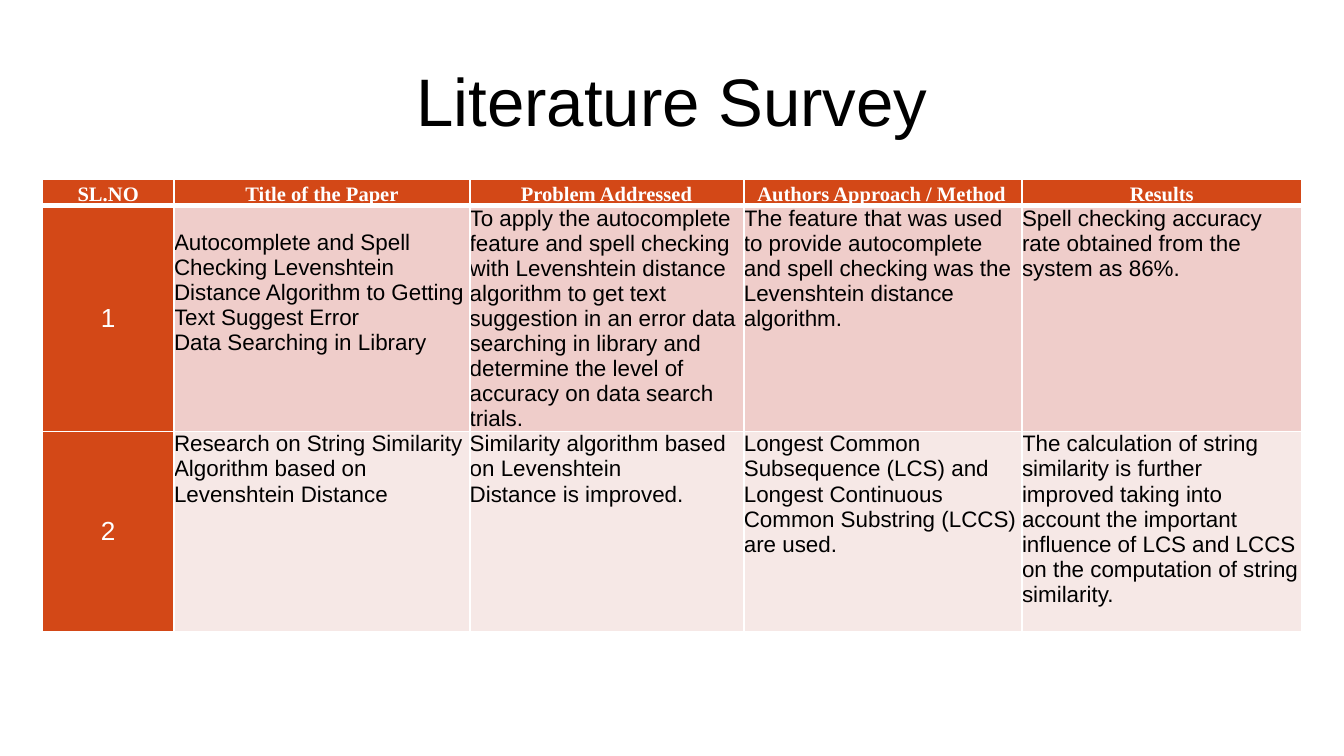
from dataclasses import dataclass

from lxml.etree import SubElement as Sub
from pptx import Presentation as Deck
from pptx.dml.color import RGBColor as Rgb
from pptx.enum.text import MSO_ANCHOR as Anchor, MSO_AUTO_SIZE as Fit, PP_ALIGN as Align
from pptx.oxml.ns import qn
from pptx.util import Inches, Pt

WIDE = Inches(10)
HIGH = WIDE * 9 // 16
HUES = {"rust": "D34817", "rose": "EFCDCA", "blush": "F6E8E6", "white": "FFFFFF", "black": "000000"}
FONTS = {
    "title": {"name": "Arial", "size": Pt(36), "bold": False},
    "head": {"name": "Times New Roman", "size": Pt(11), "bold": True},
    "count": {"name": "Arial", "size": Pt(14), "bold": False},
    "body": {"name": "Arial", "size": Pt(12), "bold": False},
}
COLS = (0.98, 2.2, 2.04, 2.07, 2.08)
ROWS = (0.19, 1.67, 1.49)
BANDS = ("rust", "rose", "blush")


@dataclass
class Entry:
    text: str
    indent: float = 0
    top: float = 0


GRID = (
    (
        Entry("SL.NO"),
        Entry("Title of the Paper", indent=0.53),
        Entry("Problem Addressed", indent=0.38),
        Entry("Authors Approach / Method", indent=0.1),
        Entry("Results"),
    ),
    (
        Entry("1"),
        Entry(
            "Autocomplete and Spell Checking Levenshtein Distance Algorithm to Getting Text Suggest Error\n"
            "Data Searching in Library",
            top=0.18,
        ),
        Entry(
            "To apply the autocomplete feature and spell checking with Levenshtein distance algorithm "
            "to get text suggestion in an error data searching in library and determine the level of "
            "accuracy on data search trials."
        ),
        Entry(
            "The feature that was used to provide autocomplete and spell checking was the "
            "Levenshtein distance algorithm."
        ),
        Entry("Spell checking accuracy rate obtained from the system as 86%."),
    ),
    (
        Entry("2"),
        Entry("Research on String Similarity Algorithm based on Levenshtein Distance"),
        Entry("Similarity algorithm based on Levenshtein\nDistance is improved."),
        Entry(
            "Longest Common Subsequence (LCS) and Longest Continuous Common Substring (LCCS) are used."
        ),
        Entry(
            "The calculation of string similarity is further\n"
            "improved taking into account the important\n"
            "influence of LCS and LCCS on the computation of string similarity."
        ),
    ),
)


def apply(item, values: dict) -> None:
    for key, value in values.items():
        setattr(item, key, value)


def style(para, kind: str, hue: str) -> None:
    apply(para.font, FONTS[kind])
    para.font.color.rgb = Rgb.from_string(HUES[hue])


def border(cell, row: int) -> None:
    props = cell._tc.get_or_add_tcPr()
    thick = {0: "lnB", 1: "lnT"}.get(row)
    for side in ("lnL", "lnR", "lnT", "lnB"):
        line = Sub(props, qn("a:" + side), w=str(Pt(3 if side == thick else 1)))
        Sub(Sub(line, qn("a:solidFill")), qn("a:srgbClr"), val=HUES["white"])


def draw_cell(cell, entry: Entry, row: int, col: int) -> None:
    head, count = row == 0, col == 0
    border(cell, row)
    cell.fill.solid()
    cell.fill.fore_color.rgb = Rgb.from_string(HUES["rust" if count else BANDS[row]])
    apply(cell, {
        "margin_left": 0, "margin_right": 0, "margin_bottom": 0,
        "margin_top": Inches(entry.top),
        "vertical_anchor": Anchor.MIDDLE if count and not head else Anchor.TOP,
        "text": entry.text,
    })
    kind = "head" if head else "count" if count else "body"
    for para in cell.text_frame.paragraphs:
        if entry.indent:
            para._p.get_or_add_pPr().set("marL", str(Inches(entry.indent)))
        center = count or (head and not entry.indent)
        para.alignment = Align.CENTER if center else Align.LEFT
        if head:
            para.line_spacing = 1.16
        style(para, kind, "white" if head or count else "black")


def draw_title(shape, text: str) -> None:
    apply(shape, {
        "left": int(WIDE * 0.034), "top": int(HIGH * 0.05),
        "width": int(WIDE * 0.932), "height": int(HIGH * 0.164),
    })
    frame = shape.text_frame
    apply(frame, {
        "text": text, "word_wrap": True, "auto_size": Fit.NONE, "vertical_anchor": Anchor.MIDDLE,
    })
    apply(frame, {"margin_" + side: Inches(0.1) for side in ("left", "top", "right", "bottom")})
    para = frame.paragraphs[0]
    para.alignment = Align.CENTER
    style(para, "title", "black")


def draw_table(slide) -> None:
    left, top = int(WIDE * 0.0315), int(HIGH * 0.237)
    table = slide.shapes.add_table(
        len(ROWS), len(COLS), left, top, Inches(sum(COLS)), Inches(sum(ROWS))
    ).table
    for col, width in zip(table.columns, COLS):
        col.width = Inches(width)
    for row, height in zip(table.rows, ROWS):
        row.height = Inches(height)
    for r, line in enumerate(GRID):
        for c, entry in enumerate(line):
            draw_cell(table.cell(r, c), entry, r, c)


def main() -> None:
    deck = Deck()
    deck.slide_width, deck.slide_height = WIDE, HIGH
    slide = deck.slides.add_slide(deck.slide_layouts[5])
    draw_title(slide.shapes.title, "Literature Survey")
    draw_table(slide)
    deck.save("out.pptx")


if __name__ == "__main__":
    main()
